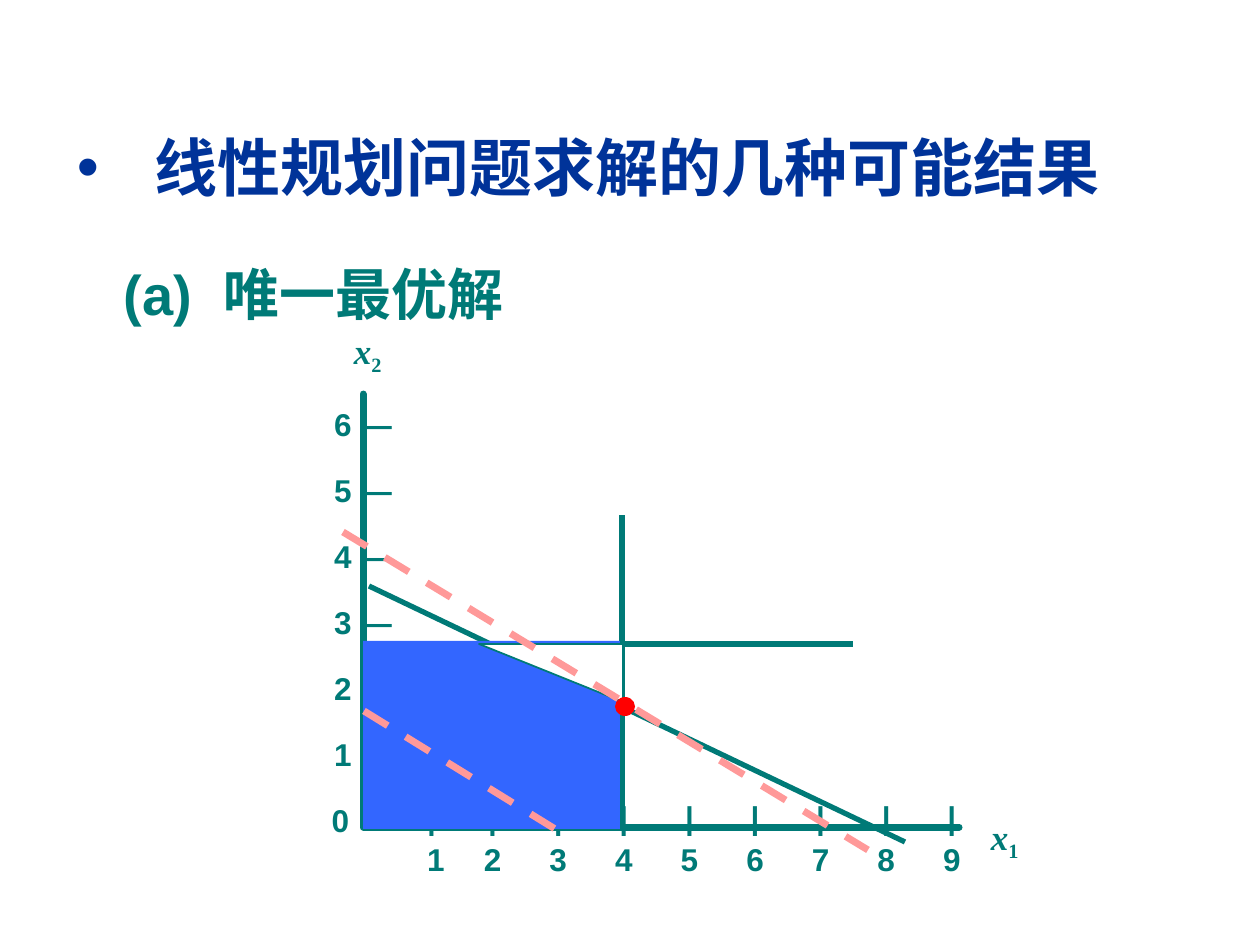
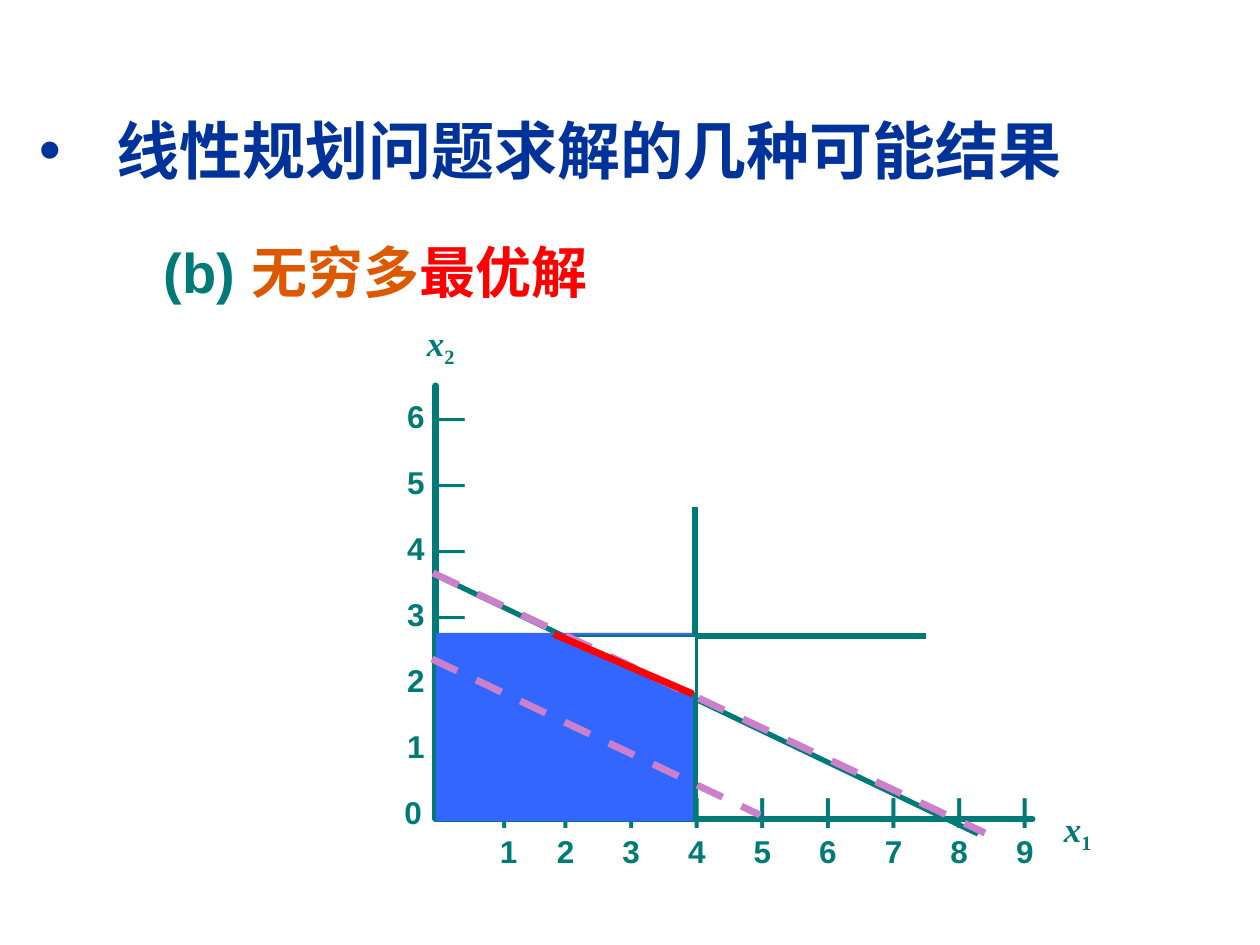
from dataclasses import dataclass

from lxml import etree
from pptx import Presentation
from pptx.dml.color import RGBColor
from pptx.enum.dml import MSO_LINE
from pptx.enum.shapes import MSO_CONNECTOR, MSO_SHAPE
from pptx.enum.text import MSO_ANCHOR, MSO_AUTO_SIZE, PP_ALIGN
from pptx.oxml.ns import qn
from pptx.util import Emu, Pt

STRAIGHT = MSO_CONNECTOR.STRAIGHT
RECTANGLE, TRIANGLE, OVAL = MSO_SHAPE.RECTANGLE, MSO_SHAPE.RIGHT_TRIANGLE, MSO_SHAPE.OVAL
DASH = MSO_LINE.DASH
LEFT, RIGHT = PP_ALIGN.LEFT, PP_ALIGN.RIGHT
TOP, MIDDLE = MSO_ANCHOR.TOP, MSO_ANCHOR.MIDDLE
NO_FIT = MSO_AUTO_SIZE.NONE
TITLE_ONLY = 5
SCALE = 914400 / 126


@dataclass(frozen=True)
class Theme:
    title: str = "003399"
    teal: str = "007A77"
    region: str = "3366FF"
    white: str = "FFFFFF"
    red: str = "FF0000"
    orange: str = "DC5900"
    pink: str = "FF9999"
    violet: str = "CB80CC"
    sans: str = "Arial"
    serif: str = "Times New Roman"
    title_size: int = 36
    heading_size: int = 32
    variable_size: int = 20
    tick_size: int = 18
    thick: int = 4
    medium: int = 3
    thin: int = 1


THEME = Theme()
TITLE_TEXT = "线性规划问题求解的几种可能结果"
INSET_X, INSET_Y = 13, 6
TITLE_INDENT = 78
Y_STEP, X_STEP = 66, 65.6


def px(value):
    return Emu(round(value * SCALE))


def color(value):
    return RGBColor.from_string(value)


def add_run(paragraph, text, size, rgb, font=THEME.sans, italic=False):
    run = paragraph.add_run()
    run.text = text
    run.font.size = Pt(size)
    run.font.bold = True
    run.font.italic = italic
    run.font.name = font
    run.font.color.rgb = color(rgb)
    east_asian = etree.SubElement(run.font._element, qn("a:ea"))
    east_asian.set("typeface", font)
    return run


def set_frame(frame, anchor, inset_x=INSET_X, inset_y=INSET_Y):
    frame.word_wrap = True
    frame.auto_size = NO_FIT
    frame.vertical_anchor = anchor
    frame.margin_left = frame.margin_right = px(inset_x)
    frame.margin_top = frame.margin_bottom = px(inset_y)


def place(shape, left, top, width, height):
    shape.left, shape.top = px(left), px(top)
    shape.width, shape.height = px(width), px(height)


def add_title(slide, left, top):
    title = slide.shapes.title
    place(title, left, top, 1152, 131)
    set_frame(title.text_frame, MIDDLE)
    paragraph = title.text_frame.paragraphs[0]
    paragraph.alignment = LEFT
    properties = paragraph._p.get_or_add_pPr()
    properties.set("marL", str(px(TITLE_INDENT)))
    properties.set("indent", str(-px(TITLE_INDENT)))
    bullet_font = etree.SubElement(properties, qn("a:buFont"))
    bullet_font.set("typeface", THEME.sans)
    bullet = etree.SubElement(properties, qn("a:buChar"))
    bullet.set("char", "•")
    add_run(paragraph, TITLE_TEXT, THEME.title_size, THEME.title)


def add_heading(slide, left, top, label, parts, label_gap=0):
    box = slide.shapes.add_textbox(px(left), px(top), px(451), px(107))
    set_frame(box.text_frame, TOP)
    paragraph = box.text_frame.paragraphs[0]
    paragraph.space_before = Pt(6.4)
    add_run(paragraph, label, THEME.heading_size, THEME.teal)
    space = add_run(paragraph, " ", THEME.heading_size, THEME.teal)
    if label_gap:
        space.font._element.set("spc", str(label_gap * 100))
    for text, rgb in parts:
        add_run(paragraph, text, THEME.heading_size, rgb)


class Diagram:
    def __init__(self, slide, origin_x, origin_y):
        self.shapes = slide.shapes
        self.origin_x = origin_x
        self.origin_y = origin_y

    def point(self, x, y):
        return px(self.origin_x + x), px(self.origin_y + y)

    def text_box(self, x, y, width, height, inset_x=0, inset_y=0):
        box = self.shapes.add_textbox(*self.point(x, y), px(width), px(height))
        set_frame(box.text_frame, TOP, inset_x, inset_y)
        return box.text_frame

    def variable(self, x, y, index):
        paragraph = self.text_box(x, y, 75, 54, INSET_X, INSET_Y).paragraphs[0]
        add_run(paragraph, "x", THEME.variable_size, THEME.teal, THEME.serif, True)
        subscript = add_run(paragraph, index, THEME.variable_size, THEME.teal, THEME.serif)
        subscript.font._element.set("baseline", "-25000")

    def tick_lines(self, x, y, width, lines, step, alignment, tabs=()):
        frame = self.text_box(x, y, width, step * len(lines))
        for number, text in enumerate(lines):
            paragraph = frame.add_paragraph() if number else frame.paragraphs[0]
            paragraph.alignment = alignment
            paragraph.line_spacing = px(step)
            if tabs:
                tab_list = etree.SubElement(paragraph._p.get_or_add_pPr(), qn("a:tabLst"))
                for position in tabs:
                    tab = etree.SubElement(tab_list, qn("a:tab"))
                    tab.set("pos", str(px(position)))
                    tab.set("algn", "ctr")
            add_run(paragraph, text, THEME.tick_size, THEME.teal)

    def line(self, start, end, rgb, width, dashed=False):
        connector = self.shapes.add_connector(STRAIGHT, *self.point(*start), *self.point(*end))
        connector.line.color.rgb = color(rgb)
        connector.line.width = Pt(width)
        if dashed:
            connector.line.dash_style = DASH
        etree.SubElement(connector._element.spPr, qn("a:effectLst"))

    def shape(self, kind, x, y, width, height, fill, outline=None):
        shape = self.shapes.add_shape(kind, *self.point(x, y), px(width), px(height))
        shape.shadow.inherit = False
        shape.fill.solid()
        shape.fill.fore_color.rgb = color(fill)
        if outline:
            shape.line.color.rgb = color(outline)
            shape.line.width = Pt(THEME.thin)
        else:
            shape.line.fill.background()
        return shape

    def axes(self):
        builder = self.shapes.build_freeform(*self.point(0, -433))
        builder.add_line_segments([self.point(0, 0), self.point(596, 0)], close=False)
        axes = builder.convert_to_shape()
        axes.shadow.inherit = False
        axes.fill.background()
        axes.line.color.rgb = color(THEME.teal)
        axes.line.width = Pt(THEME.thick)
        axes.line._get_or_add_ln().set("cap", "rnd")

    def ticks(self):
        y_lines = [f"{value} —" for value in range(6, 0, -1)]
        self.tick_lines(-43, -450, 72, y_lines, Y_STEP, RIGHT)
        self.tick_lines(-43, -450 + len(y_lines) * Y_STEP, 29, ["0"], Y_STEP, RIGHT)
        values = [str(value) for value in range(1, 10)]
        x_lines = ["\t".join("|" * len(values)), "\t".join(values)]
        tabs = [X_STEP * number for number in range(1, len(values))]
        self.tick_lines(64, -33, 558, x_lines, 42, LEFT, tabs)

    def constraints(self):
        for start, end in (
            ((4, -183), (490, -183)),
            ((259, 0), (259, -312)),
            ((6, -241), (542, 15)),
        ):
            self.line(start, end, THEME.teal, THEME.medium)

    def feasible_region(self):
        self.shape(RECTANGLE, 0, -186, 257, 188, THEME.region)
        corner = self.shape(TRIANGLE, 116, -183, 144, 58, THEME.white, THEME.teal)
        corner.rotation = 180

    def draw_base(self):
        self.variable(-22, -504, "2")
        self.ticks()
        self.variable(615, -18, "1")
        self.axes()
        self.constraints()
        self.feasible_region()

    def objective(self, start, end, rgb):
        self.line(start, end, rgb, THEME.thick, dashed=True)


def build_unique_optimum(slide):
    add_title(slide, 64, 101)
    add_heading(slide, 111, 254, "(a)", [("唯一最优解", THEME.teal)], label_gap=9)
    diagram = Diagram(slide, 363, 827)
    diagram.draw_base()
    diagram.objective((-20, -295), (505, 23), THEME.pink)
    diagram.objective((1, -116), (205, 10), THEME.pink)
    diagram.shape(OVAL, 252, -130, 20, 19, THEME.red)


def build_infinite_optima(slide):
    add_title(slide, 26, 84)
    add_heading(slide, 151, 231, "(b)", [("无穷多", THEME.orange), ("最优解", THEME.red)])
    diagram = Diagram(slide, 436, 819)
    diagram.draw_base()
    diagram.objective((-3, -246), (549, 14), THEME.violet)
    diagram.line((118, -185), (257, -125), THEME.red, THEME.thick)
    diagram.objective((-4, -160), (324, -4), THEME.violet)


def main():
    presentation = Presentation()
    presentation.slide_width, presentation.slide_height = px(1260), px(945)
    layout = presentation.slide_layouts[TITLE_ONLY]
    for build in (build_unique_optimum, build_infinite_optima):
        build(presentation.slides.add_slide(layout))
    presentation.save("out.pptx")


if __name__ == "__main__":
    main()
